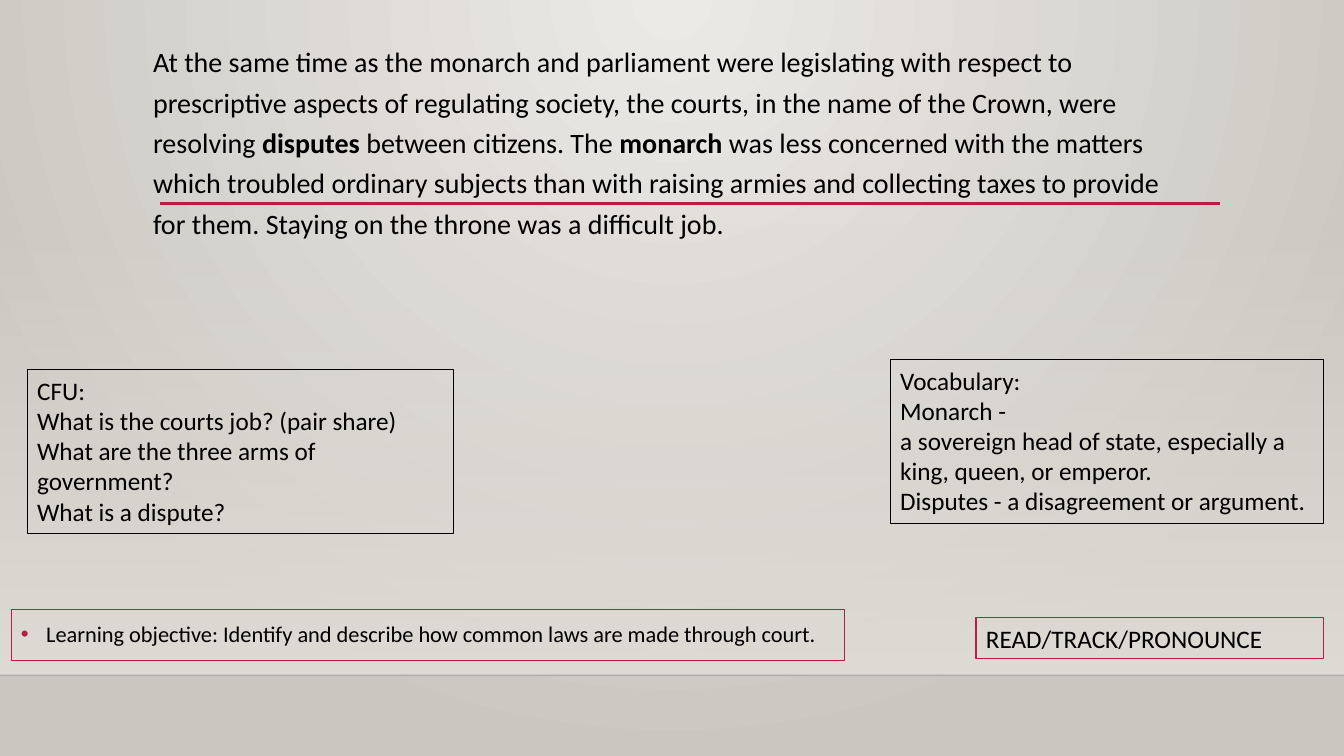
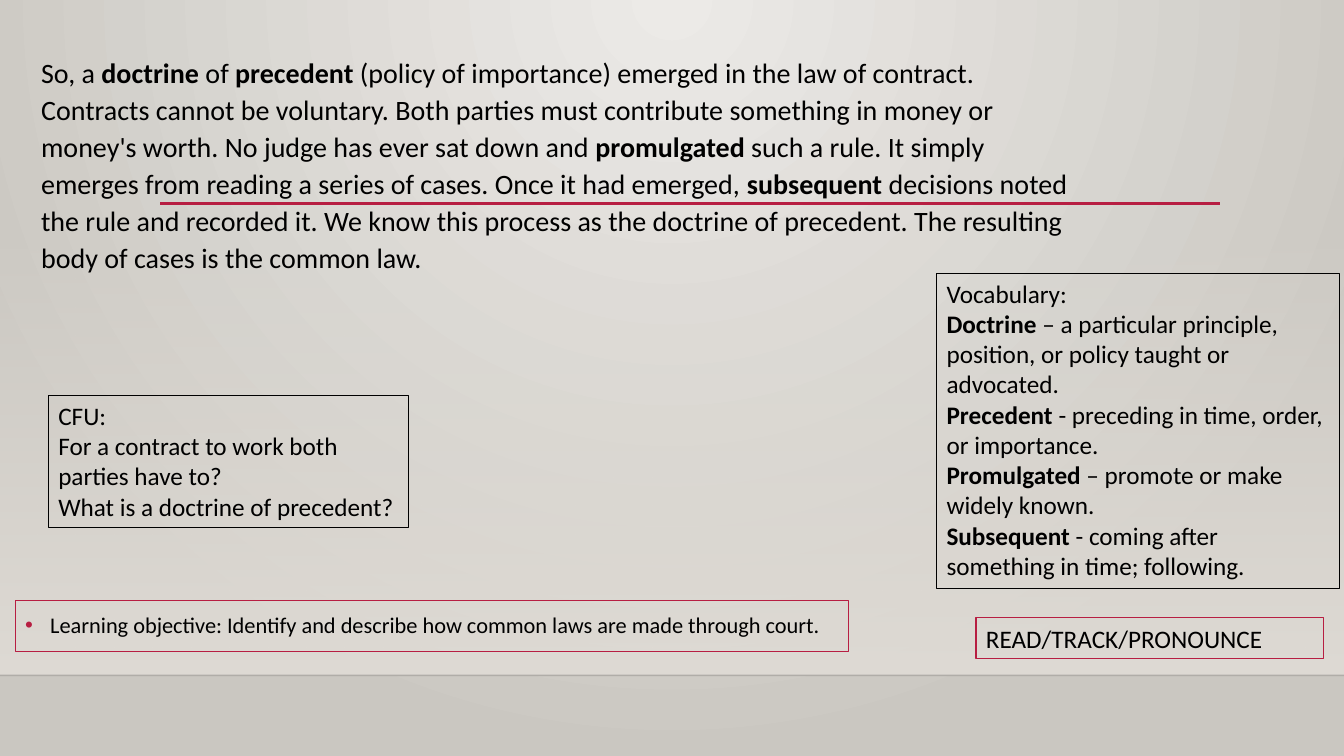
"""Build two reading slides on how common law is made through court."""
from lxml.etree import SubElement
from pptx import Presentation
from pptx.dml.color import RGBColor
from pptx.enum.shapes import MSO_CONNECTOR, MSO_SHAPE
from pptx.enum.text import MSO_ANCHOR, MSO_AUTO_SIZE
from pptx.oxml.ns import qn
from pptx.util import Inches, Pt

BLACK = RGBColor(0x00, 0x00, 0x00)
CRIMSON = RGBColor(0xB7, 0x1E, 0x42)
PALE = RGBColor(0xEC, 0xEA, 0xE7)
STONE = RGBColor(0xCA, 0xC7, 0xC1)
SAND = RGBColor(0xDF, 0xDB, 0xD5)
FONT = "Calibri"
WIDTH, HEIGHT = 13.33, 7.5
FLOOR = 6.7
OBJECTIVE = "Learning objective: Identify and describe how common laws are made through court."


class LessonDeck:
    """Hold the lesson style and the slide being filled."""

    def __init__(self):
        self.deck = Presentation()
        self.deck.slide_width = Inches(WIDTH)
        self.deck.slide_height = Inches(HEIGHT)
        self.slide = None

    def new_slide(self):
        self.slide = self.deck.slides.add_slide(self.deck.slide_layouts[6])
        self.backdrop()
        self.floor_band()
        self.rule(0, WIDTH, FLOOR, BLACK, 1, opacity=20)
        self.rule(1.59, 12.1, 2.02, CRIMSON, 2.5)

    def gradient(self, fill, start, end):
        fill.gradient()
        for stop, color in zip(fill.gradient_stops, (start, end)):
            stop.color.rgb = color

    def set_opacity(self, element, percent):
        color = next(element.iter(qn("a:srgbClr")))
        SubElement(color, qn("a:alpha"), val=str(percent * 1000))

    def backdrop(self):
        background = self.slide.background
        self.gradient(background.fill, PALE, STONE)
        gradient = next(self.slide.element.iter(qn("a:gradFill")))
        gradient.remove(gradient.find(qn("a:lin")))
        glow = SubElement(gradient, qn("a:path"))
        glow.set("path", "circle")
        SubElement(glow, qn("a:fillToRect"), l="43000", t="0", r="43000", b="100000")

    def floor_band(self):
        top = 2.21
        band = self.slide.shapes.add_shape(
            MSO_SHAPE.RECTANGLE, 0, Inches(top), Inches(WIDTH), Inches(FLOOR - top))
        band.shadow.inherit = False
        band.line.fill.background()
        self.gradient(band.fill, SAND, SAND)
        band.fill.gradient_angle = 270
        self.set_opacity(band.element.spPr, 0)

    def rule(self, left, right, y, color, weight, opacity=100):
        line = self.slide.shapes.add_connector(
            MSO_CONNECTOR.STRAIGHT, Inches(left), Inches(y), Inches(right), Inches(y))
        line.line.color.rgb = color
        line.line.width = Pt(weight)
        if opacity < 100:
            self.set_opacity(line.element.spPr, opacity)
        SubElement(line.element.spPr, qn("a:effectLst"))

    def set_text(self, frame, paragraphs, size, spacing=1.0, bullet=False):
        """Fill a frame, with words between asterisks in bold."""
        frame.word_wrap = True
        frame.vertical_anchor = MSO_ANCHOR.TOP
        for index, text in enumerate(paragraphs):
            paragraph = frame.add_paragraph() if index else frame.paragraphs[0]
            paragraph.line_spacing = spacing
            if bullet:
                self.add_bullet(paragraph)
            for part, words in enumerate(text.split("*")):
                if not words:
                    continue
                run = paragraph.add_run()
                run.text = words
                run.font.name = FONT
                run.font.size = Pt(size)
                run.font.bold = part % 2 == 1
                run.font.color.rgb = BLACK

    def add_bullet(self, paragraph):
        properties = paragraph._p.get_or_add_pPr()
        indent = Inches(0.25)
        properties.set("marL", str(indent))
        properties.set("indent", str(-indent))
        color = SubElement(properties, qn("a:buClr"))
        SubElement(color, qn("a:srgbClr"), val=str(CRIMSON))
        SubElement(properties, qn("a:buFont"), typeface="Arial")
        SubElement(properties, qn("a:buChar"), char="•")

    def text_box(self, left, top, width, height):
        return self.slide.shapes.add_textbox(
            Inches(left), Inches(top), Inches(width), Inches(height))

    def passage(self, left, top, height, text, spacing):
        box = self.text_box(left, top, 10.5, height)
        self.set_text(box.text_frame, [text], 20, spacing)

    def framed(self, left, top, width, height, color):
        box = self.text_box(left, top, width, height)
        box.line.color.rgb = color
        box.line.width = Pt(0.75)
        return box.text_frame

    def note(self, left, top, width, height, paragraphs, color=BLACK):
        frame = self.framed(left, top, width, height, color)
        self.set_text(frame, paragraphs, 18)
        frame.auto_size = MSO_AUTO_SIZE.SHAPE_TO_FIT_TEXT

    def footer(self, left, top):
        objective = self.framed(left, top, 8.27, 0.5, CRIMSON)
        self.set_text(objective, [OBJECTIVE], 16, 1.2, bullet=True)
        self.note(9.68, 6.13, 3.45, 0.4, ["READ/TRACK/PRONOUNCE"], CRIMSON)


def main():
    lesson = LessonDeck()

    lesson.new_slide()
    lesson.passage(
        1.42, 0.33, 2.17,
        "At the same time as the monarch and parliament were legislating with respect to "
        "prescriptive aspects of regulating society, the courts, in the name of the Crown, "
        "were resolving *disputes* between citizens. The *monarch* was less concerned with "
        "the matters which troubled ordinary subjects than with raising armies and "
        "collecting taxes to provide for them. Staying on the throne was a difficult job.",
        1.2)
    lesson.note(8.83, 3.57, 4.3, 1.62, [
        "Vocabulary:",
        "Monarch -",
        "a sovereign head of state, especially a king, queen, or emperor.",
        "Disputes - a disagreement or argument.",
    ])
    lesson.note(0.27, 3.67, 4.23, 1.62, [
        "CFU:",
        "What is the courts job? (pair share)",
        "What are the three arms of government?",
        "What is a dispute?",
    ])
    lesson.footer(0.11, 6.05)

    lesson.new_slide()
    lesson.passage(
        0.31, 0.47, 2.42,
        "So, a *doctrine* of *precedent *(policy of importance) emerged in the law of "
        "contract. Contracts cannot be voluntary. Both parties must contribute something in "
        "money or money's worth. No judge has ever sat down and *promulgated* such a rule. "
        "It simply emerges from reading a series of cases. Once it had emerged, "
        "*subsequent* decisions noted the rule and recorded it. We know this process as the "
        "doctrine of precedent. The resulting body of cases is the common law.",
        1.1)
    lesson.note(0.48, 3.92, 3.57, 1.31, [
        "CFU:",
        "For a contract to work both parties have to?",
        "What is a doctrine of precedent?",
    ])
    lesson.note(9.29, 2.71, 4, 3.13, [
        "Vocabulary:",
        "*Doctrine* – a particular principle, position, or policy taught or advocated.",
        "*Precedent* - preceding in time, order, or importance.",
        "*Promulgated* – promote or make widely known.",
        "*Subsequent* - coming after something in time; following.",
    ])
    lesson.footer(0.15, 5.96)

    lesson.deck.save("out.pptx")


if __name__ == "__main__":
    main()
